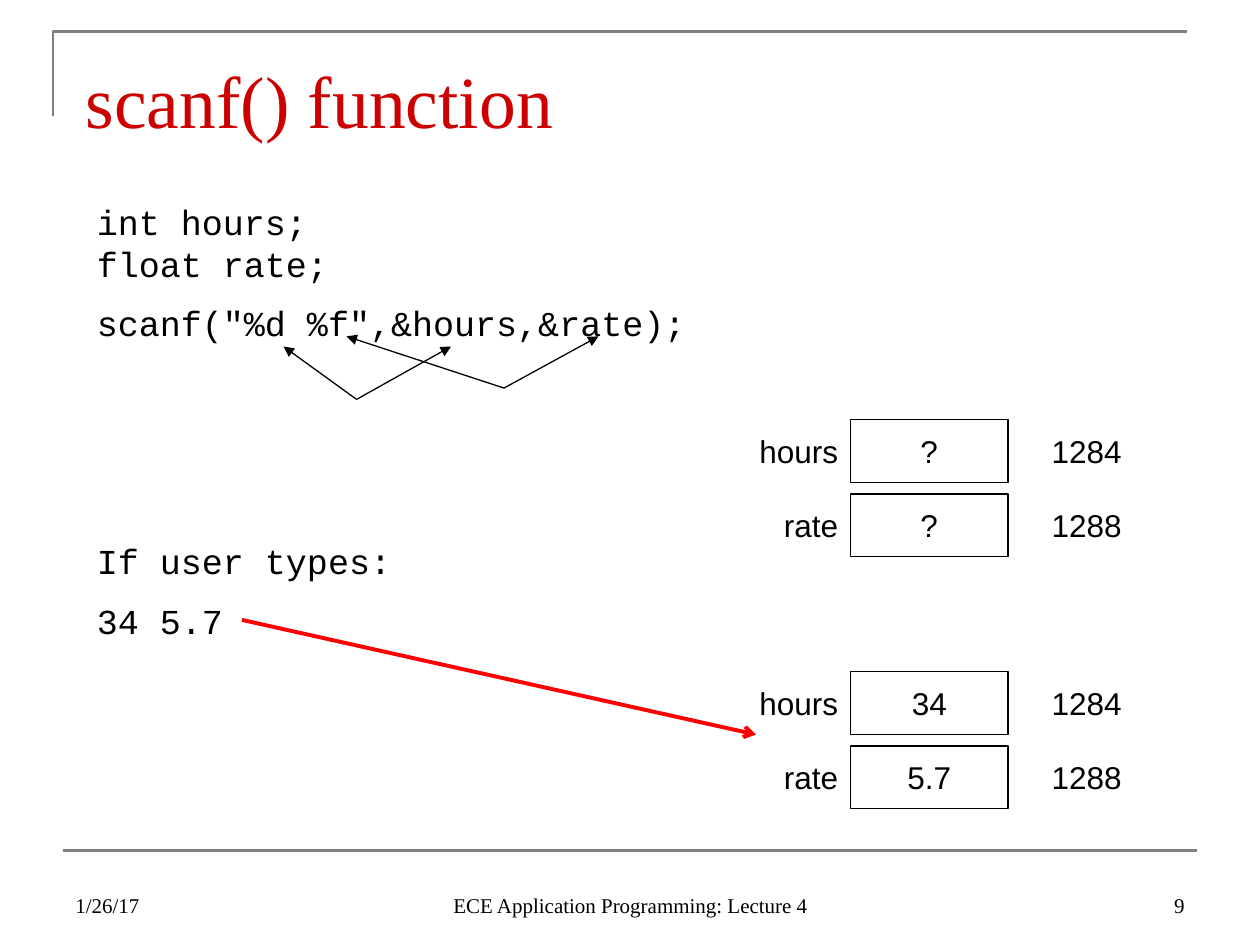
from dataclasses import dataclass

from lxml import etree
from pptx import Presentation
from pptx.dml.color import RGBColor
from pptx.enum.shapes import MSO_CONNECTOR, MSO_SHAPE
from pptx.enum.text import MSO_ANCHOR, MSO_AUTO_SIZE, PP_ALIGN
from pptx.oxml.ns import qn
from pptx.util import Inches, Pt

LEFT, MID, RIGHT = PP_ALIGN.LEFT, PP_ALIGN.CENTER, PP_ALIGN.RIGHT
TOP, CENTER, BOTTOM = MSO_ANCHOR.TOP, MSO_ANCHOR.MIDDLE, MSO_ANCHOR.BOTTOM
FIXED = MSO_AUTO_SIZE.NONE
RECT = MSO_SHAPE.RECTANGLE
STRAIGHT = MSO_CONNECTOR.STRAIGHT


@dataclass(frozen=True)
class Theme:
    ink: str = "000000"
    head: str = "CC0000"
    rule: str = "808080"
    flow: str = "FF0000"
    serif: str = "Times New Roman"
    sans: str = "Arial"
    mono: str = "Courier New"
    title: int = 42
    code: int = 20
    label: int = 18
    foot: int = 12


@dataclass(frozen=True)
class Cell:
    name: str
    value: str
    address: str
    top: float


@dataclass(frozen=True)
class Line:
    start: tuple[float, float]
    end: tuple[float, float]
    color: str
    width: float
    tip: str = ""


@dataclass(frozen=True)
class Foot:
    text: str
    left: float
    width: float
    align: PP_ALIGN


THEME = Theme()


def write(shape, text: str, *, size: int, font: str, color: str = THEME.ink,
          align: PP_ALIGN = LEFT, anchor: MSO_ANCHOR = TOP, wrap: bool = True,
          inset: float = 0.05, gaps: tuple = (), pitch: int = 0) -> None:
    frame = shape.text_frame
    frame.auto_size = FIXED
    frame.word_wrap = wrap
    frame.vertical_anchor = anchor
    frame.margin_top = Inches(inset)
    frame.text = text
    for item in frame.paragraphs:
        item.alignment = align
        if pitch:
            item.line_spacing = Pt(pitch)
        for run in item.runs:
            run.font.size = Pt(size)
            run.font.name = font
            run.font.color.rgb = RGBColor.from_string(color)
    for item, gap in zip(frame.paragraphs[1:], gaps):
        item.space_before = Pt(gap)


def add_text(slide, text: str, left: float, top: float, width: float,
             height: float, **style) -> None:
    box = slide.shapes.add_textbox(
        Inches(left), Inches(top), Inches(width), Inches(height))
    write(box, text, **style)


def draw_line(slide, item: Line) -> None:
    line = slide.shapes.add_connector(
        STRAIGHT, *(Inches(n) for n in item.start + item.end))
    line.line.color.rgb = RGBColor.from_string(item.color)
    line.line.width = Pt(item.width)
    if item.tip:
        tail = etree.SubElement(line.line._get_or_add_ln(), qn("a:tailEnd"))
        tail.set("type", item.tip)
    etree.SubElement(line._element.spPr, qn("a:effectLst"))


def draw_frame(slide) -> None:
    build = slide.shapes.build_freeform(Inches(0.42), Inches(0.92))
    build.add_line_segments(
        [(Inches(0.42), Inches(0.25)), (Inches(9.42), Inches(0.25))],
        close=False)
    shape = build.convert_to_shape()
    shape.shadow.inherit = False
    shape.fill.background()
    shape.line.color.rgb = RGBColor.from_string(THEME.rule)
    shape.line.width = Pt(1.5)
    draw_line(slide, Line((0.5, 6.75), (9.5, 6.75), THEME.rule, 1.5))


def draw_cell(slide, cell: Cell) -> None:
    width, height, left = 1.25, 0.5, 6.75
    style = dict(size=THEME.label, font=THEME.sans, anchor=CENTER, wrap=False)
    box = slide.shapes.add_shape(
        RECT, Inches(left), Inches(cell.top), Inches(width), Inches(height))
    box.shadow.inherit = False
    box.fill.background()
    box.line.color.rgb = RGBColor.from_string(THEME.ink)
    box.line.width = Pt(0.75)
    write(box, cell.value, align=MID, **style)
    add_text(slide, cell.address, left + width, cell.top, width, height,
             align=MID, **style)
    add_text(slide, cell.name, left - width, cell.top, width, height,
             align=RIGHT, **style)


def main() -> None:
    deck = Presentation()
    deck.slide_width, deck.slide_height = Inches(10), Inches(7.5)
    slide = deck.slides.add_slide(deck.slide_layouts[5])

    draw_frame(slide)
    title = slide.shapes.title
    title.left, title.top = Inches(0.58), Inches(0.33)
    title.width, title.height = Inches(8.5), Inches(0.75)
    write(title, "scanf() function", size=THEME.title, font=THEME.serif,
          color=THEME.head, inset=0.11)

    code = "\n".join((
        "int hours;\vfloat rate;",
        'scanf("%d %f",&hours,&rate);',
        "If user types:",
        "34 5.7",
    ))
    add_text(slide, code, 0.67, 1.5, 5, 3.77, size=THEME.code,
             font=THEME.mono, inset=0.09, gaps=(10, 112, 10), pitch=24)

    for top, hours, rate in ((3.33, "?", "?"), (5.33, "34", "5.7")):
        draw_cell(slide, Cell("hours", hours, "1284", top))
        draw_cell(slide, Cell("rate", rate, "1288", top + 0.59))

    links = (
        ((2.83, 3.17), (2.25, 3.58), 2.75),
        ((4, 3.08), (2.75, 4.75), 2.67),
    )
    for start, ends, top in links:
        for end in ends:
            draw_line(slide, Line(start, (end, top), THEME.ink, 0.75, "triangle"))
    draw_line(slide, Line((1.92, 4.92), (6, 5.83), THEME.flow, 2.25, "arrow"))

    feet = (
        Foot("1/26/17", 0.5, 2.33, LEFT),
        Foot("ECE Application Programming: Lecture 4", 3.42, 3.17, MID),
        Foot("9", 7.17, 2.33, RIGHT),
    )
    for foot in feet:
        add_text(slide, foot.text, foot.left, 6.83, foot.width, 0.5,
                 size=THEME.foot, font=THEME.serif, align=foot.align,
                 anchor=BOTTOM)

    deck.save("out.pptx")


if __name__ == "__main__":
    main()
